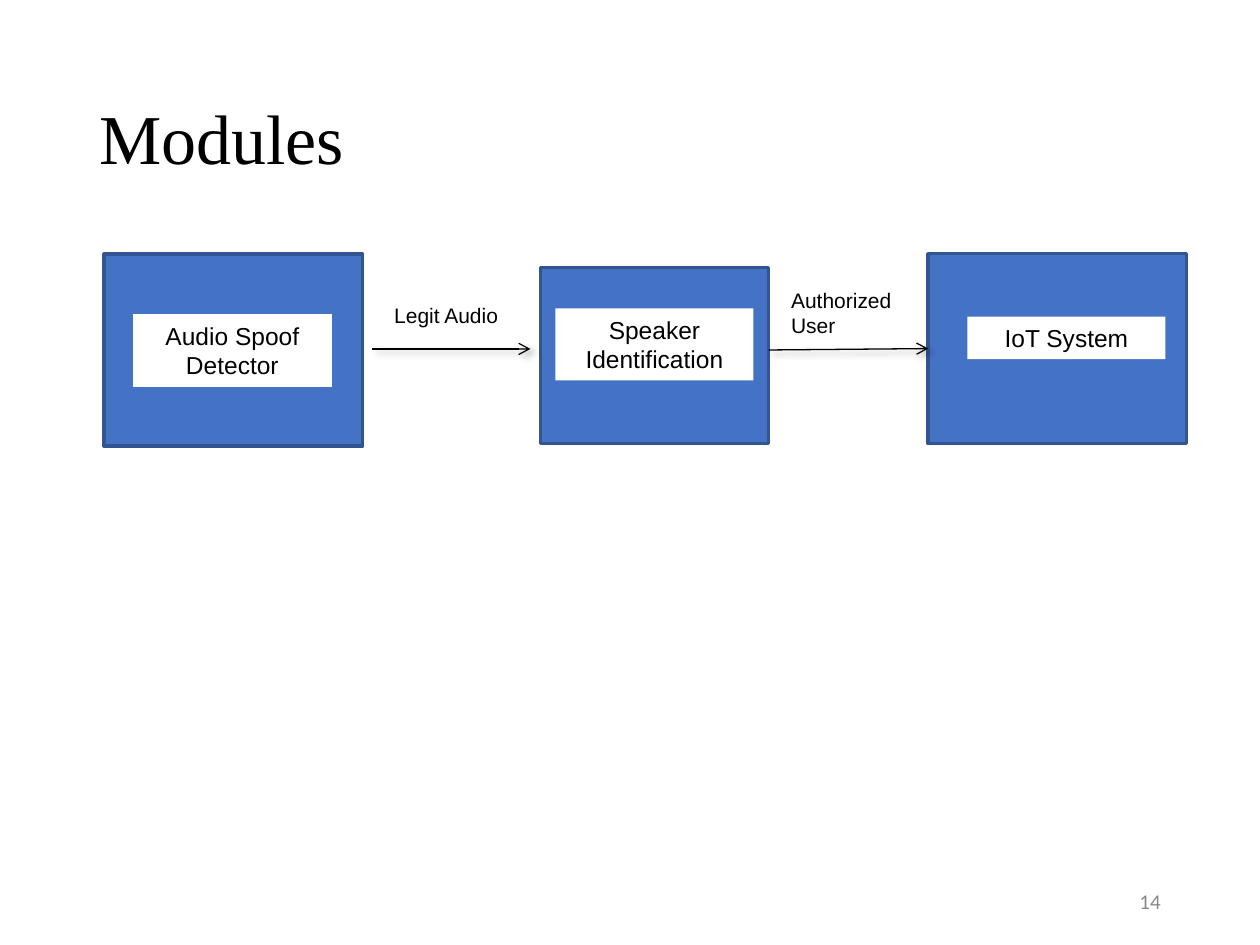
from dataclasses import dataclass
from typing import Optional

from lxml import etree
from pptx import Presentation
from pptx import util as u
from pptx.dml.color import RGBColor
from pptx.enum import shapes, text
from pptx.oxml import ns


@dataclass(frozen=True)
class Theme:
    black: str = "000000"
    white: str = "FFFFFF"
    gray: str = "888888"
    blue: str = "4472C4"
    navy: str = "325491"
    title_font: str = "Times New Roman"
    body_font: str = "Arial"
    number_font: str = "Calibri"
    title_size: float = 40
    module_size: float = 14
    small_size: float = 12
    border: float = 2
    thin: float = 0.75


@dataclass(frozen=True)
class Box:
    left: float
    top: float
    width: float
    height: float

    def lengths(self) -> tuple:
        return tuple(u.Pt(n) for n in (self.left, self.top, self.width, self.height))


@dataclass(frozen=True)
class Module:
    name: str
    frame: Box
    label: Box
    label_line: Optional[str] = None


@dataclass(frozen=True)
class Flow:
    name: str
    start: tuple
    end: tuple
    label: Box


@dataclass(frozen=True)
class Style:
    font: str
    size: float
    color: str
    align: text.PP_ALIGN = text.PP_ALIGN.LEFT
    anchor: text.MSO_ANCHOR = text.MSO_ANCHOR.TOP
    spacing: float = 1.0


THEME = Theme()
TITLE = Style(THEME.title_font, THEME.title_size, THEME.black,
              anchor=text.MSO_ANCHOR.MIDDLE, spacing=0.9)
MODULE = Style(THEME.body_font, THEME.module_size, THEME.black, text.PP_ALIGN.CENTER)
FLOW = Style(THEME.body_font, THEME.small_size, THEME.black)
NUMBER = Style(THEME.number_font, THEME.small_size, THEME.gray,
               text.PP_ALIGN.RIGHT, text.MSO_ANCHOR.MIDDLE)

MODULES = (
    Module("Audio Spoof Detector", Box(59.5, 145.3, 147.8, 109.7),
           Box(76.2, 179.6, 113.2, 41.2), THEME.white),
    Module("Speaker Identification", Box(308.8, 152.9, 130.5, 100.6),
           Box(317.4, 176.2, 113.2, 41.2)),
    Module("IoT System", Box(530.4, 145, 147.8, 108.5),
           Box(552.8, 181, 113.2, 24.2)),
)
FLOWS = (
    Flow("Legit Audio", (212.6, 199.4), (303.1, 199.4), Box(218.2, 169.2, 79.2, 21.8)),
    Flow("Authorized User", (439.3, 200), (530.4, 199.2), Box(445, 160.6, 79.2, 36.4)),
)


def write(shape, words: str, style: Style) -> None:
    frame = shape.text_frame
    frame.word_wrap = True
    frame.vertical_anchor = style.anchor
    paragraph = frame.paragraphs[0]
    paragraph.alignment = style.align
    paragraph.line_spacing = style.spacing
    run = paragraph.add_run()
    run.text = words
    run.font.name = style.font
    run.font.size = u.Pt(style.size)
    run.font.color.rgb = RGBColor.from_string(style.color)


def add_text(slide, box: Box, words: str, style: Style) -> None:
    write(slide.shapes.add_textbox(*box.lengths()), words, style)


def add_rectangle(slide, box: Box, fill: str, line: Optional[str], width: float):
    shape = slide.shapes.add_shape(shapes.MSO_SHAPE.RECTANGLE, *box.lengths())
    shape.shadow.inherit = False
    shape.fill.solid()
    shape.fill.fore_color.rgb = RGBColor.from_string(fill)
    if line:
        shape.line.color.rgb = RGBColor.from_string(line)
        shape.line.width = u.Pt(width)
    else:
        shape.line.fill.background()
    return shape


def add_arrow(slide, flow: Flow) -> None:
    points = [u.Pt(n) for n in flow.start + flow.end]
    connector = slide.shapes.add_connector(shapes.MSO_CONNECTOR.STRAIGHT, *points)
    connector.line.color.rgb = RGBColor.from_string(THEME.black)
    connector.line.width = u.Pt(THEME.thin)
    etree.SubElement(connector.line._get_or_add_ln(), ns.qn("a:tailEnd"), type="arrow")
    effects = etree.SubElement(connector._element.spPr, ns.qn("a:effectLst"))
    shadow = etree.SubElement(effects, ns.qn("a:outerShdw"), blurRad=str(u.Pt(4)),
                              dist=str(u.Pt(3)), dir=str(45 * 60000), rotWithShape="0")
    color = etree.SubElement(shadow, ns.qn("a:srgbClr"), val=THEME.black)
    etree.SubElement(color, ns.qn("a:alpha"), val="40000")


def main() -> None:
    presentation = Presentation()
    presentation.slide_width, presentation.slide_height = u.Pt(720), u.Pt(540)
    slide = presentation.slides.add_slide(presentation.slide_layouts[6])
    add_text(slide, Box(49.7, 28.8, 620.6, 104.4), "Modules", TITLE)
    add_text(slide, Box(508.3, 500.4, 162, 28.8), "14", NUMBER)
    for module in MODULES:
        add_rectangle(slide, module.frame, THEME.blue, THEME.navy, THEME.border)
    for flow in FLOWS:
        add_arrow(slide, flow)
    for module in MODULES:
        label = add_rectangle(slide, module.label, THEME.white, module.label_line, THEME.thin)
        write(label, module.name, MODULE)
    for flow in FLOWS:
        add_text(slide, flow.label, flow.name, FLOW)
    presentation.save("out.pptx")


if __name__ == "__main__":
    main()
